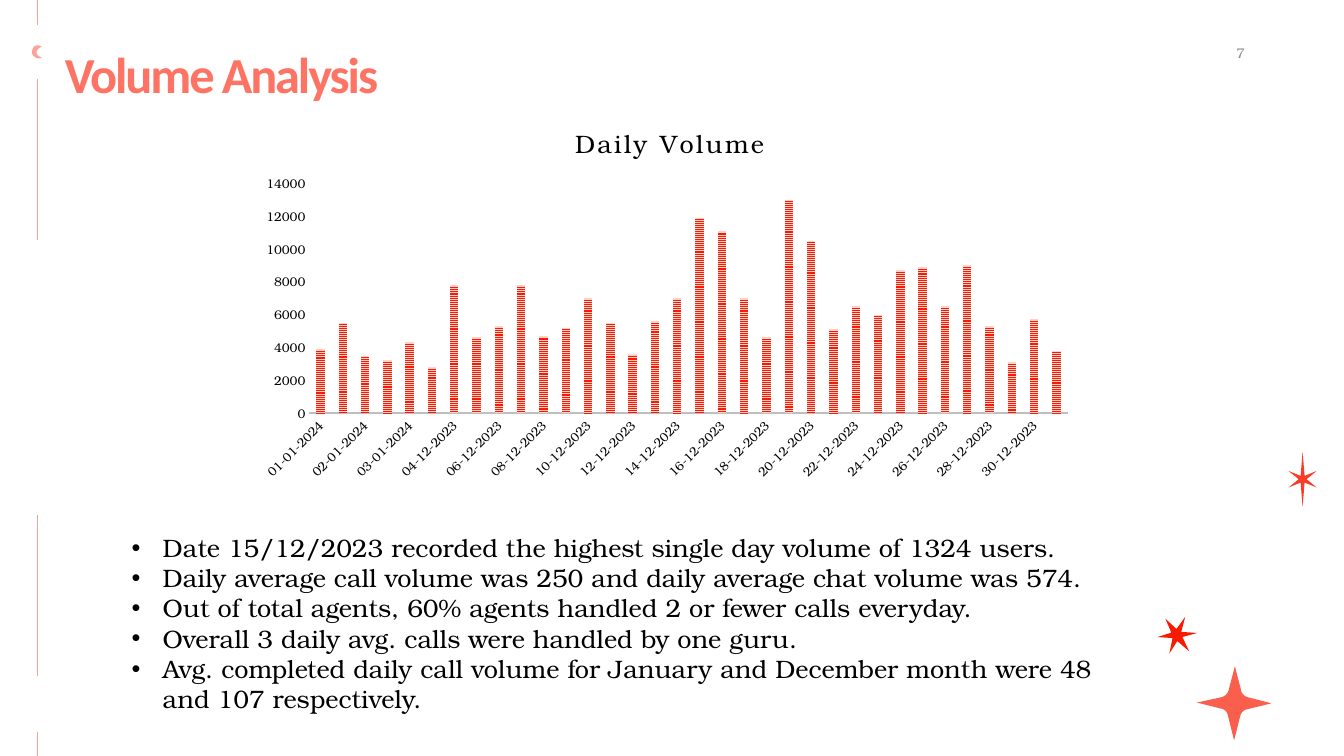
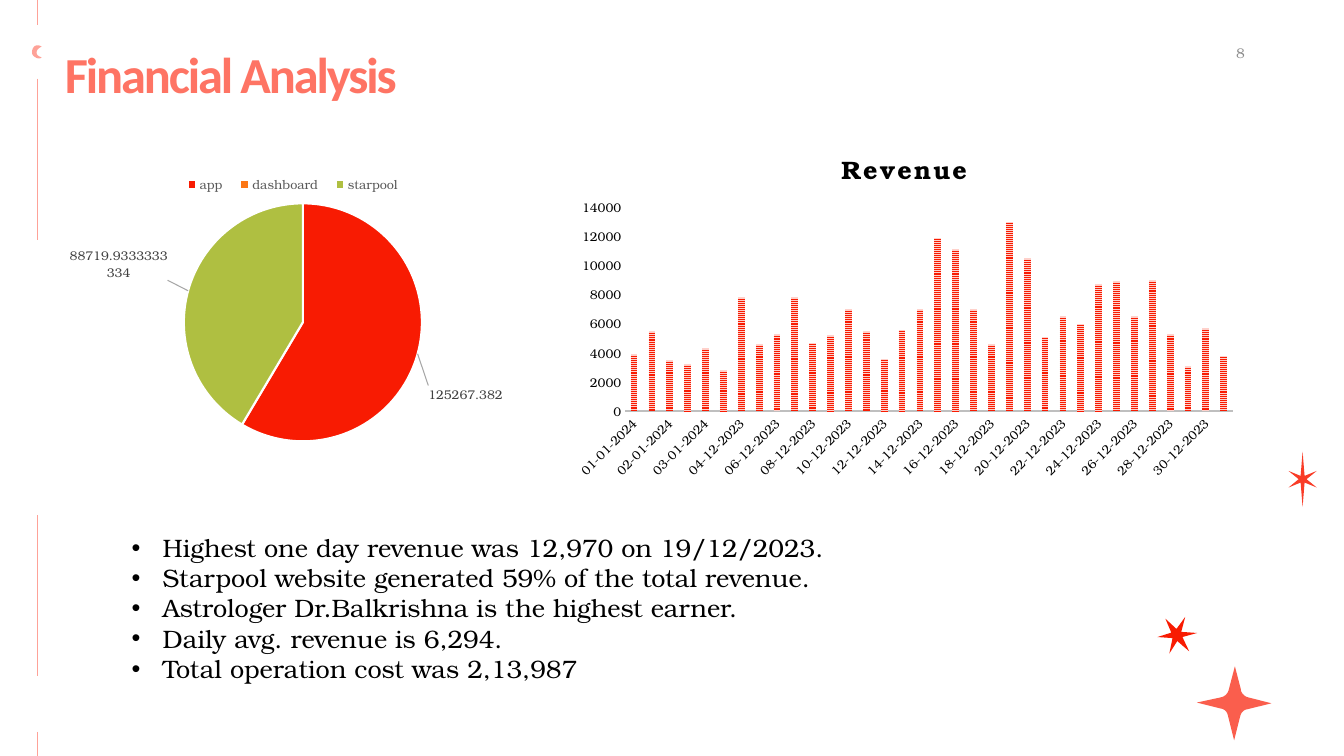
from pptx import Presentation
from pptx.chart.data import CategoryChartData
from pptx.dml.color import RGBColor
from pptx.enum.chart import XL_CHART_TYPE as CT, XL_LEGEND_POSITION as LP
from pptx.enum.chart import XL_LABEL_POSITION as LBL, XL_TICK_MARK as TICK
from pptx.enum.dml import MSO_PATTERN
from pptx.enum.shapes import MSO_CONNECTOR
from pptx.enum.text import MSO_ANCHOR, PP_ALIGN
from pptx.oxml import parse_xml
from pptx.oxml.ns import nsdecls, qn
from pptx.oxml.xmlchemy import OxmlElement
from pptx.util import Inches, Pt

W, H = Inches(13.33), Inches(7.5)
SERIF = "TeX Gyre Bonum"
COLORS = dict(red="F81B02", coral="FE7464", blush="FEA298", pale="FFD1CB",
              orange="FC7715", olive="AFBF41", black="000000", white="FFFFFF",
              axis="BFBFBF", number="8C8C8C", label="404040", legend="595959",
              leader="A6A6A6")

# Text styles
TITLE = dict(name="Calibri", size=Pt(36), bold=True, color="coral")
BODY = dict(name=SERIF, size=Pt(18), color="black")
NUMBER = dict(name=SERIF, size=Pt(10), color="number")
CHART_TITLE = dict(name=SERIF, size=Pt(18), color="black")
CHART_TEXT = dict(name=SERIF, size=Pt(10), color="black")
AXIS_TEXT = dict(name=SERIF, size=Pt(9), color="black")
LEGEND_TEXT = dict(name=SERIF, size=Pt(9), color="legend")
LABEL_TEXT = dict(name=SERIF, size=Pt(9), color="label")

# Regions: left, top, width, height in percent of the slide
NUMBER_BOX = (85.85, 4.67, 7.5, 4.67)
TITLE_BOX = (2.95, 3.6, 34, 11.5)
BULLETS_BOX = (9.05, 69.75, 76, 29.6)
RAIL_X = 2.77
RAIL_SPANS = [(0, 3.33), (10.4, 31.73), (68.13, 89.47), (96.8, 100)]

# Ornaments: box, colour, opacity, outline in percent of the box;
# two numbers make a straight step, six make a curve
ORNAMENTS = [
    ((86.12, 81.6, 2.95, 4.85), "red", 100,
     [(60, 41), (70, 0), (48, 33), (20, 5), (35, 43), (0, 55), (38, 58),
      (30, 100), (50, 66), (80, 94), (63, 55), (100, 44)]),
    ((89.05, 88.13, 5.55, 9.8), "red", 70,
     [(59, 31), (51, 0), (43, 31), (42, 36, 38, 41, 32, 42), (0, 49), (32, 57),
      (38, 58, 41, 62, 42, 68), (50, 100), (58, 68), (59, 62, 64, 58, 68, 58),
      (100, 50), (69, 42), (64, 41, 59, 36, 59, 31)]),
    ((95.87, 59.73, 2.1, 7.33), "red", 85,
     [(64, 50), (100, 35), (57, 44), (50, 0), (43, 44), (0, 35), (36, 50),
      (0, 65), (43, 56), (50, 100), (57, 56), (100, 65)]),
    ((2.35, 6, 0.75, 1.73), "blush", 100,
     [(100, 10), (70, 20, 50, 35, 50, 55), (50, 75, 70, 85, 100, 92),
      (80, 108, 50, 100, 25, 85), (-4, 70, 0, 35, 20, 15),
      (35, -4, 75, -4, 100, 10)]),
]

# Daily figures, shared by both column charts
DAYS = [f"{d:02}-{m}" for d in (1, 2, 3) for m in ("01-2024", "12-2023")]
DAYS += [f"{d:02}-12-2023" for d in range(4, 32)]
DAILY = [3900, 5500, 3500, 3200, 4300, 2800, 7800, 4600, 5300, 7800, 4700, 5200,
         7000, 5500, 3600, 5600, 7000, 11900, 11100, 7000, 4600, 13000, 10500,
         5100, 6500, 6000, 8700, 8900, 6500, 9000, 5300, 3100, 5700, 3800]

VOLUME_POINTS = [
    "Date 15/12/2023 recorded the highest single day volume of 1324 users.",
    "Daily average call volume was 250 and daily average chat volume was 574.",
    "Out of total agents, 60% agents handled 2 or fewer calls everyday.",
    "Overall 3 daily avg. calls were handled by one guru.",
    "Avg. completed daily call volume for January and December month were 48 "
    "and 107 respectively.",
]
FINANCE_POINTS = [
    "Highest one day revenue was 12,970 on 19/12/2023.",
    "Starpool website generated 59% of the total revenue.",
    "Astrologer Dr.Balkrishna is the highest earner.",
    "Daily avg. revenue is 6,294.",
    "Total operation cost was 2,13,987",
]


def rgb(key):
    return RGBColor.from_string(COLORS[key])


def place(box):
    return [int(v * side / 100) for v, side in zip(box, (W, H, W, H))]


def style(font, fmt):
    for key, value in fmt.items():
        if key == "color":
            font.color.rgb = rgb(value)
        else:
            setattr(font, key, value)


def letter_space(element, points):
    for rpr in element.iter(qn("a:rPr")):
        rpr.set("spc", str(int(points * 100)))


def add_text(slide, box, lines, fmt):
    sp = slide.shapes.add_textbox(*place(box))
    tf = sp.text_frame
    tf.word_wrap = True
    for i, line in enumerate(lines):
        p = tf.add_paragraph() if i else tf.paragraphs[0]
        r = p.add_run()
        r.text = line
        style(r.font, fmt)
    return sp


def add_title(slide, text):
    sp = add_text(slide, TITLE_BOX, [text], TITLE)
    tf = sp.text_frame
    for side in ("left", "top", "right", "bottom"):
        setattr(tf, f"margin_{side}", Inches(0.25))
    tf.paragraphs[0].line_spacing = 0.85
    letter_space(sp.element, -1.5)


def add_bullets(slide, lines):
    sp = add_text(slide, BULLETS_BOX, lines, BODY)
    indent = Inches(0.31)
    for p in sp.element.iter(qn("a:p")):
        ppr = p.get_or_add_pPr()
        ppr.set("marL", str(indent))
        ppr.set("indent", str(-indent))
        ppr.append(parse_xml(f'<a:buFont {nsdecls("a")} typeface="Arial"/>'))
        ppr.append(parse_xml(f'<a:buChar {nsdecls("a")} char="•"/>'))


def add_number(slide, number):
    tf = add_text(slide, NUMBER_BOX, [str(number)], NUMBER).text_frame
    tf.vertical_anchor = MSO_ANCHOR.MIDDLE
    tf.paragraphs[0].alignment = PP_ALIGN.RIGHT


def flatten(outline, steps=8):
    """Turn straight and curved steps into a list of points."""
    points = []
    for step in outline:
        if len(step) == 2:
            points.append(step)
            continue
        knots = [points[-1], step[:2], step[2:4], step[4:]]
        for i in range(1, steps + 1):
            t = i / steps
            weights = ((1 - t) ** 3, 3 * t * (1 - t) ** 2, 3 * t * t * (1 - t), t ** 3)
            points.append(tuple(sum(w * k[axis] for w, k in zip(weights, knots))
                                for axis in (0, 1)))
    return points


def add_ornament(slide, box, color, opacity, outline):
    x, y, w, h = place(box)
    points = [(x + w * px / 100, y + h * py / 100) for px, py in flatten(outline)]
    builder = slide.shapes.build_freeform(*points[0])
    builder.add_line_segments(points[1:], close=True)
    sp = builder.convert_to_shape()
    sp.shadow.inherit = False
    sp.fill.solid()
    sp.fill.fore_color.rgb = rgb(color)
    sp.line.fill.background()
    if opacity < 100:
        alpha = OxmlElement("a:alpha")
        alpha.set("val", str(opacity * 1000))
        sp.element.xpath("p:spPr/a:solidFill/a:srgbClr")[0].append(alpha)


def add_rail(slide):
    for top, bottom in RAIL_SPANS:
        x, y1, _, y2 = place((RAIL_X, top, 0, bottom))
        line = slide.shapes.add_connector(MSO_CONNECTOR.STRAIGHT, x, y1, x, y2)
        line.line.color.rgb = rgb("blush")
        line.line.width = Pt(0.75)
        line.element.xpath("p:spPr")[0].append(OxmlElement("a:effectLst"))


def manual_layout(parent, index, **values):
    """Fix the place of a chart part; shares are of the chart's size."""
    for old in parent.findall(qn("c:layout")):
        parent.remove(old)
    if parent.tag != qn("c:dLbl"):
        target = {"layoutTarget": "inner"} if parent.tag == qn("c:plotArea") else {}
        values = {**target, "xMode": "edge", "yMode": "edge", **values}
    items = "".join(f'<c:{k} val="{v}"/>' for k, v in values.items())
    parent.insert(index, parse_xml(
        f'<c:layout {nsdecls("c")}><c:manualLayout>{items}</c:manualLayout></c:layout>'))


def add_chart(slide, kind, box, names, values, plot):
    data = CategoryChartData()
    data.categories = names
    data.add_series("Series 1", values)
    chart = slide.shapes.add_chart(kind, *place(box), data).chart
    style(chart.font, CHART_TEXT)
    manual_layout(chart.element.xpath("c:chart/c:plotArea")[0], 0, **dict(zip("xywh", plot)))
    return chart


def add_daily_chart(slide, box, title, title_x, plot, bold=False):
    chart = add_chart(slide, CT.COLUMN_CLUSTERED, box, DAYS, DAILY, plot)
    chart.has_legend = False

    # Title
    tf = chart.chart_title.text_frame
    tf.text = title
    style(tf.paragraphs[0].runs[0].font, dict(CHART_TITLE, bold=bold))
    heading = chart.element.xpath("c:chart/c:title")[0]
    letter_space(heading, 1.6)
    manual_layout(heading, 1, x=title_x, y=0.04)

    # Axes
    for axis in (chart.category_axis, chart.value_axis):
        axis.has_major_gridlines = False
        axis.major_tick_mark = axis.minor_tick_mark = TICK.NONE
        style(axis.tick_labels.font, AXIS_TEXT)
    chart.value_axis.format.line.fill.background()
    line = chart.category_axis.format.line
    line.color.rgb = rgb("axis")
    line.width = Pt(1.5)
    chart.element.xpath(".//c:catAx/c:txPr/a:bodyPr")[0].set("rot", "-2700000")

    # Columns
    bars = chart.plots[0]
    bars.vary_by_categories = False
    bars.gap_width, bars.overlap = 164, -22
    fill = bars.series[0].format.fill
    fill.patterned()
    fill.pattern = MSO_PATTERN.NARROW_HORIZONTAL
    fill.fore_color.rgb = rgb("red")
    fill.back_color.rgb = rgb("pale")


def add_source_pie(slide, box, plot):
    names = ["app", "dashboard", "starpool"]
    values = [125267.382, None, 88719.9333333334]
    chart = add_chart(slide, CT.PIE, box, names, values, plot)
    chart.has_title = False
    chart.has_legend = True
    chart.legend.position = LP.TOP
    chart.legend.include_in_layout = False
    style(chart.legend.font, LEGEND_TEXT)
    manual_layout(chart.element.xpath("c:chart/c:legend")[0], 1, x=0.26, y=0.06, w=0.48, h=0.08)

    # Slices
    series = chart.plots[0].series[0]
    for i, color in enumerate(("red", "orange", "olive")):
        fmt = series.points[i].format
        fmt.fill.solid()
        fmt.fill.fore_color.rgb = rgb(color)
        fmt.line.color.rgb = rgb("white")
        fmt.line.width = Pt(1.5)

    # Labels, moved off the slices so that leader lines show
    series.data_labels.show_value = True
    style(series.data_labels.font, LABEL_TEXT)
    for i in (0, 2):
        label = series.points[i].data_label
        label.position = LBL.OUTSIDE_END
        style(label.font, LABEL_TEXT)
    labels = chart.element.xpath(".//c:dLbl")
    for dlbl, (dx, dy) in zip(labels, [(0.01, 0.1), (-0.03, -0.03)]):
        manual_layout(dlbl, 1, x=dx, y=dy)
    # A narrower frame for the long value
    labels[1].append(parse_xml(
        f'<c:extLst {nsdecls("c")}><c:ext uri="{{CE6537A1-D6FC-4f65-9D91-7224C49458BB}}" '
        'xmlns:c15="http://schemas.microsoft.com/office/drawing/2012/chart"><c15:layout>'
        '<c:manualLayout><c:w val="0.19"/><c:h val="0.12"/></c:manualLayout>'
        '</c15:layout></c:ext></c:extLst>'))
    chart.element.xpath(".//c:ser/c:dLbls")[0].append(parse_xml(
        f'<c:leaderLines {nsdecls("c", "a")}><c:spPr><a:ln w="9525"><a:solidFill>'
        f'<a:srgbClr val="{COLORS["leader"]}"/></a:solidFill></a:ln></c:spPr></c:leaderLines>'))


def add_slide(prs, number, title, bullets):
    slide = prs.slides.add_slide(prs.slide_layouts[6])
    add_rail(slide)
    for ornament in ORNAMENTS:
        add_ornament(slide, *ornament)
    add_number(slide, number)
    add_title(slide, title)
    add_bullets(slide, bullets)
    return slide


def main():
    prs = Presentation()
    prs.slide_width, prs.slide_height = W, H
    s = add_slide(prs, 7, "Volume Analysis", VOLUME_POINTS)
    add_daily_chart(s, (18, 13.6, 62.7, 50.67), "Daily Volume", 0.39, (0.08, 0.21, 0.9, 0.6))
    s = add_slide(prs, 8, "Financial Analysis", FINANCE_POINTS)
    add_daily_chart(s, (41.94, 17, 50.8, 47.33), "Revenue", 0.4,
                    (0.09, 0.22, 0.89, 0.57), bold=True)
    add_source_pie(s, (3.35, 20.4, 36.9, 39.73), (0.28, 0.16, 0.48, 0.8))
    prs.save("out.pptx")


if __name__ == "__main__":
    main()
